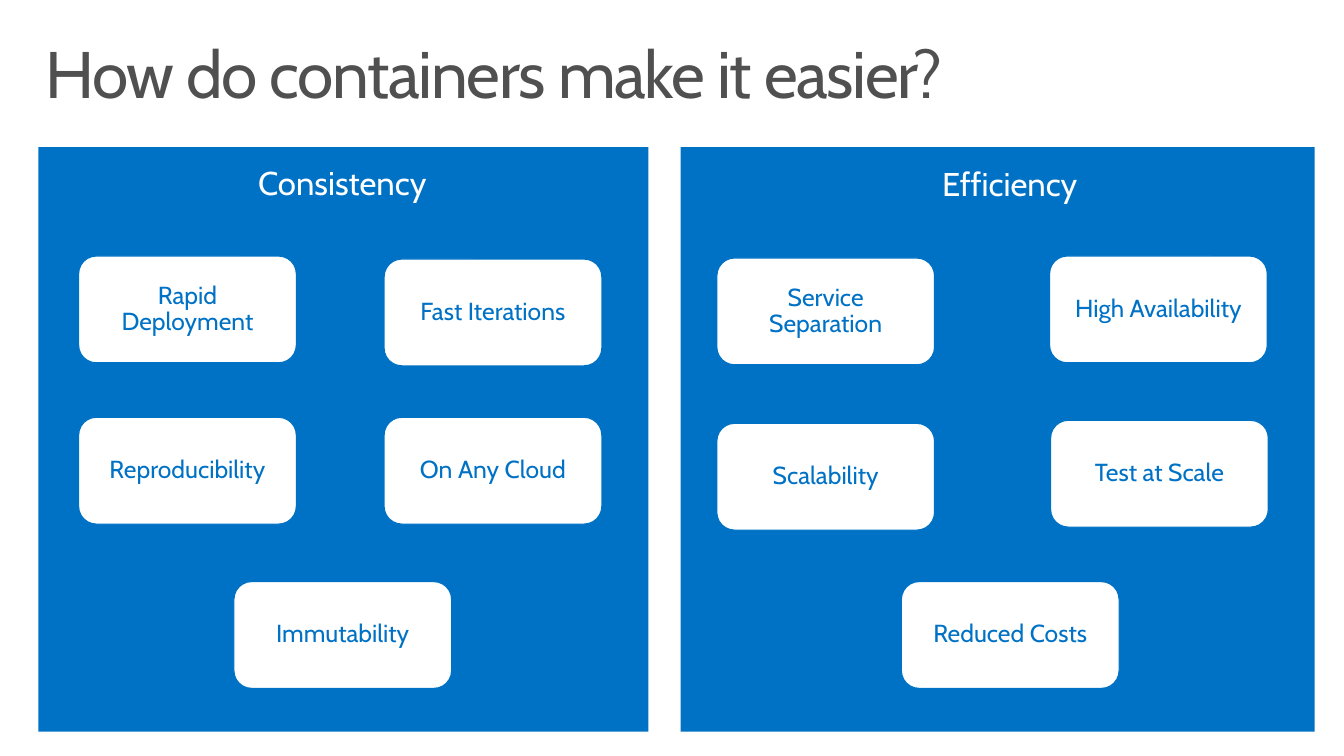
from pptx import Presentation
from pptx.dml.color import RGBColor
from pptx.enum.shapes import MSO_SHAPE
from pptx.enum.text import MSO_ANCHOR, PP_ALIGN
from pptx.util import Inches, Pt

COLORS = {"blue": "0072C6", "white": "FFFFFF", "gray": "505050"}


class SlideBuilder:
    font = "Cabin"
    card_size = (2.16, 1.06)
    heading_size = (4.25, 2.21)

    def __init__(self, slide):
        self.slide = slide

    def color(self, name):
        return RGBColor.from_string(COLORS[name])

    def label(self, shape, text, size, color, align=PP_ALIGN.CENTER,
              anchor=MSO_ANCHOR.MIDDLE, insets=(0.2, 0.16)):
        frame = shape.text_frame
        frame.text = text
        frame.word_wrap = True
        frame.vertical_anchor = anchor
        frame.margin_left = frame.margin_right = Inches(insets[0])
        frame.margin_top = frame.margin_bottom = Inches(insets[1])
        for paragraph in frame.paragraphs:
            paragraph.alignment = align
            paragraph.line_spacing = 0.9
            paragraph.space_before = Pt(0)
            for run in paragraph.runs:
                run.font.name = self.font
                run.font.size = Pt(size)
                run.font.color.rgb = self.color(color)

    def title(self, text, left, top, width, height):
        title = self.slide.shapes.title
        title.left, title.top = Inches(left), Inches(top)
        title.width, title.height = Inches(width), Inches(height)
        self.label(title, text, 47, "gray", PP_ALIGN.LEFT,
                   MSO_ANCHOR.TOP, (0.16, 0.1))
        # Tighten the letters by one point
        for run in title.text_frame.paragraphs[0].runs:
            run.font._element.set("spc", "-100")

    def box(self, preset, fill, left, top, width, height):
        box = self.slide.shapes.add_shape(
            preset, Inches(left), Inches(top), Inches(width), Inches(height))
        box.shadow.inherit = False
        box.fill.solid()
        box.fill.fore_color.rgb = self.color(fill)
        return box

    def panel(self, left, top, width, height):
        panel = self.box(MSO_SHAPE.RECTANGLE, "blue", left, top, width, height)
        panel.line.fill.background()

    def heading(self, text, left, top):
        width, height = self.heading_size
        heading = self.slide.shapes.add_textbox(
            Inches(left), Inches(top), Inches(width), Inches(height))
        self.label(heading, text, 23.5, "white")

    def card(self, text, left, top):
        card = self.box(MSO_SHAPE.ROUNDED_RECTANGLE, "white",
                        left, top, *self.card_size)
        card.line.color.rgb = self.color("blue")
        card.line.width = Pt(0.85)
        self.label(card, text, 17.6, "blue")


# Each benefit: panel left and width, heading place, cards with their places
BENEFITS = {
    "Consistency": ((0.38, 6.05), (1.27, 0.73), [
        ("Rapid\nDeployment", 0.78, 2.54),
        ("Fast Iterations", 3.81, 2.57),
        ("Reproducibility", 0.78, 4.14),
        ("On Any Cloud", 3.81, 4.14),
        ("Immutability", 2.32, 5.77),
    ]),
    "Efficiency": ((6.75, 6.29), (7.89, 0.74), [
        ("Service Separation", 7.11, 2.56),
        ("High Availability", 10.41, 2.54),
        ("Scalability", 7.11, 4.2),
        ("Test at Scale", 10.42, 4.17),
        ("Reduced Costs", 8.94, 5.77),
    ]),
}


def main():
    deck = Presentation()
    deck.slide_width, deck.slide_height = Inches(13.33), Inches(7.5)
    builder = SlideBuilder(deck.slides.add_slide(deck.slide_layouts[5]))

    builder.title("How do containers make it easier?", 0.29, 0.31, 12.74, 1.01)

    # Panels with heading and cards
    for benefit, ((left, width), heading_at, cards) in BENEFITS.items():
        builder.panel(left, 1.46, width, 5.8)
        builder.heading(benefit, *heading_at)
        for card in cards:
            builder.card(*card)

    deck.save("out.pptx")


if __name__ == "__main__":
    main()
